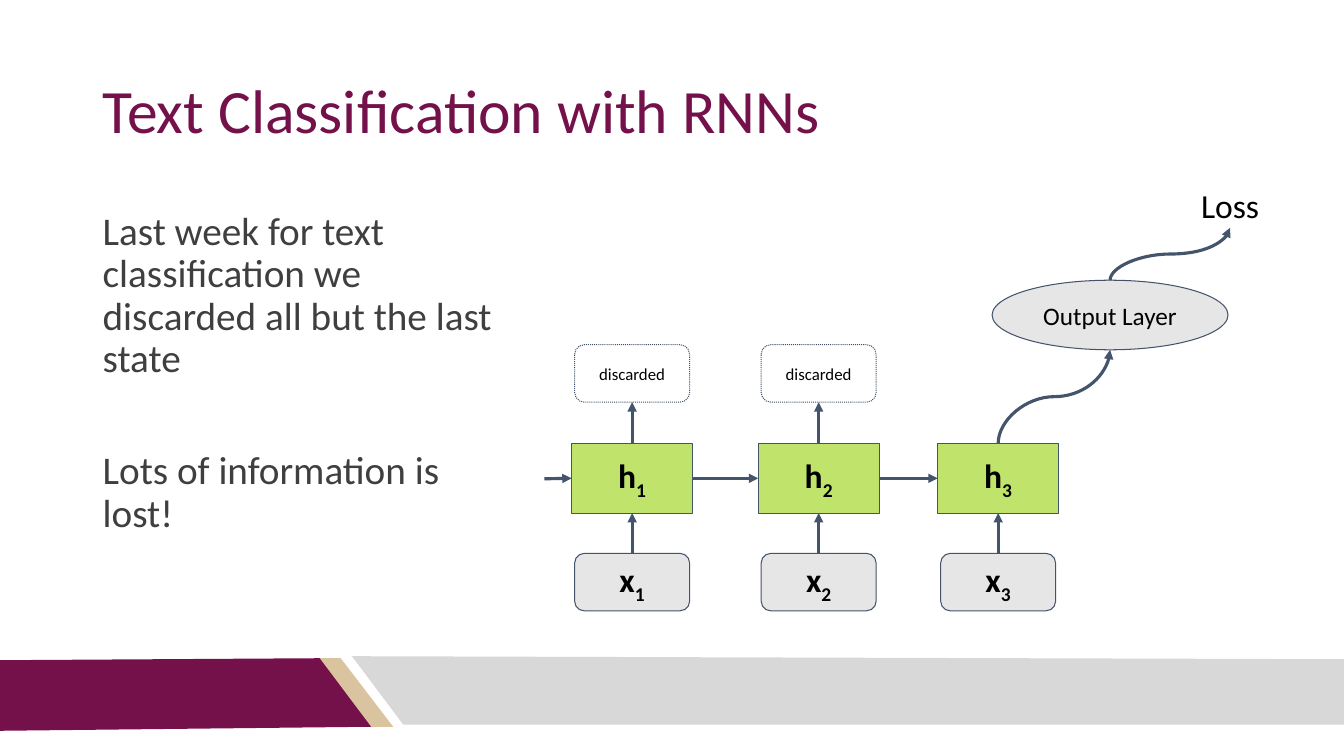
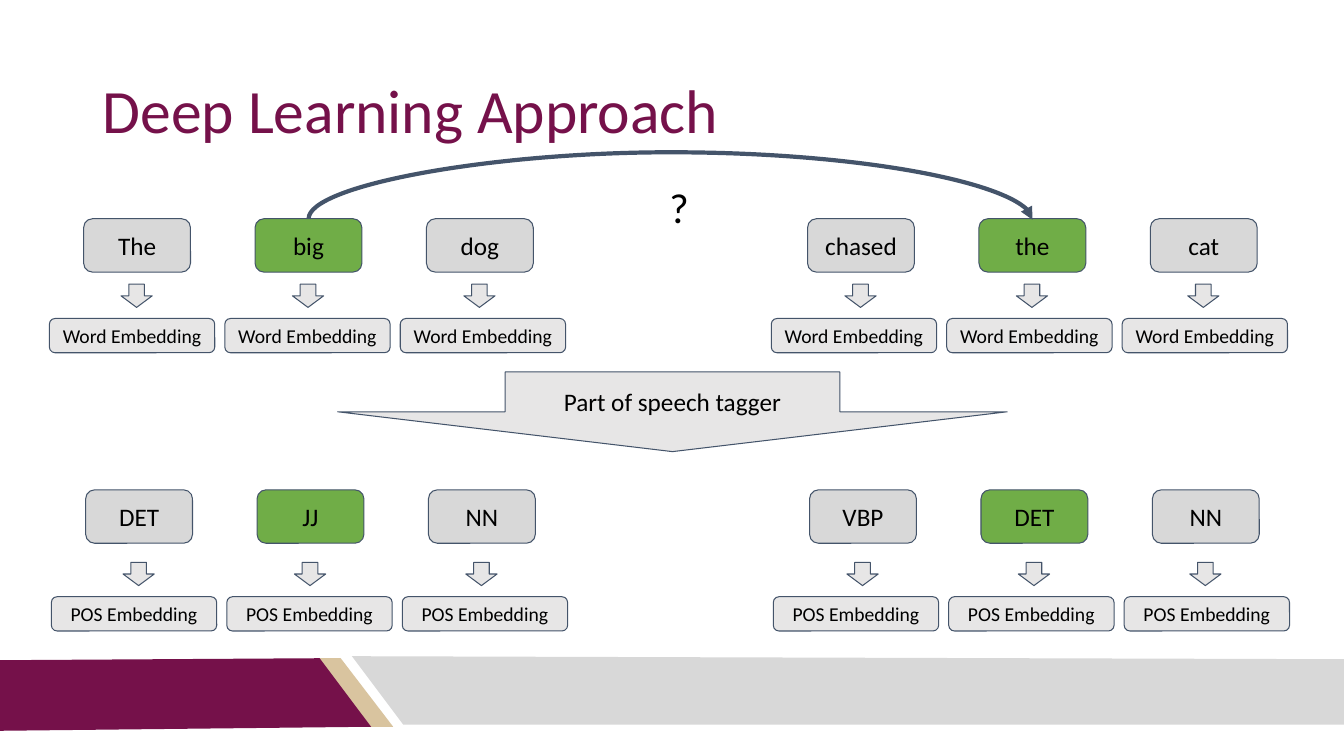
from lxml import etree
from pptx import Presentation
from pptx import util as u
from pptx.dml import color
from pptx.enum import dml, shapes, text
from pptx.oxml import ns

PX = 9144
FONT = "Calibri"
MAROON, TAN, SILVER = "75114A", "D9C49F", "D8D8D8"
BLACK, WHITE, CHARCOAL = "000000", "FFFFFF", "3F3F3F"
SLATE, PALE, LIME, GREEN = "44546A", "E7E6E6", "B0DD46", "70AD47"
KIND = shapes.MSO_SHAPE
TOP, LEFT, BOTTOM, RIGHT = range(4)
rgb = color.RGBColor.from_string


def box(slide, kind, place, lines=(), size=18, fill=None, ink=BLACK, align=text.PP_ALIGN.CENTER):
    place = [value * PX for value in place]
    if kind is None:
        shape = slide.shapes.add_textbox(*place)
    else:
        shape = slide.shapes.add_shape(kind, *place)
        shape.shadow.inherit = False
        shape.fill.solid()
        shape.fill.fore_color.rgb = rgb(fill)
        shape.line.color.rgb = rgb(SLATE)
        shape.line.width = u.Pt(0.75)
    frame = shape.text_frame
    frame.word_wrap = True
    frame.margin_left = frame.margin_right = frame.margin_top = frame.margin_bottom = 10 * PX
    frame.vertical_anchor = text.MSO_ANCHOR.TOP if kind is None else text.MSO_ANCHOR.MIDDLE
    frame.text = "\n".join(lines)
    for paragraph in frame.paragraphs:
        paragraph.alignment = align
        paragraph.font.name = FONT
        for run in paragraph.runs:
            run.font.name = FONT
            run.font.size = u.Pt(size)
            run.font.color.rgb = rgb(ink)
    return shape


def arrow(slide, start, start_site, end, end_site, width=2.25, bend=None):
    kind = shapes.MSO_CONNECTOR.CURVE if bend else shapes.MSO_CONNECTOR.STRAIGHT
    connector = slide.shapes.add_connector(kind, 0, 0, 0, 0)
    if isinstance(start, tuple):
        connector.begin_x, connector.begin_y = (value * PX for value in start)
    else:
        connector.begin_connect(start, start_site)
    connector.end_connect(end, end_site)
    connector.line.color.rgb = rgb(SLATE)
    connector.line.width = u.Pt(width)
    properties = connector.element.spPr
    etree.SubElement(connector.line._get_or_add_ln(), ns.qn("a:tailEnd"), type="triangle")
    etree.SubElement(properties, ns.qn("a:effectLst"))
    if bend:
        left, top = connector.left, connector.top
        across, up = connector.width, max(connector.height, PX)
        connector.left, connector.top = left + (across - up) // 2, top + (up - across) // 2
        connector.width, connector.height = up, across
        properties.xfrm.flipV = False
        properties.xfrm.flipH = bend < 0
        properties.xfrm.set("rot", "16200000")
        guides = properties.find(ns.qn("a:prstGeom")).find(ns.qn("a:avLst"))
        etree.SubElement(guides, ns.qn("a:gd"), name="adj1", fmla=f"val {int(bend * 100000)}")
    return connector


presentation = Presentation()
presentation.slide_width = 1333 * PX
presentation.slide_height = 750 * PX

bands = [
    (TAN, [(316, 653), (338, 653), (390, 721), (367, 721)]),
    (MAROON, [(-1, 655), (317, 653), (368, 721), (-1, 725)]),
    (SILVER, [(1337, 719), (400, 719), (349, 651), (1334, 654)]),
]
slides = []
for title in ["Text Classification with RNNs", "Deep Learning Approach"]:
    slide = presentation.slides.add_slide(presentation.slide_layouts[6])
    for fill, points in bands:
        builder = slide.shapes.build_freeform(*points[0], scale=PX)
        builder.add_line_segments(points[1:], close=True)
        band = builder.convert_to_shape()
        band.shadow.inherit = False
        band.fill.solid()
        band.fill.fore_color.rgb = rgb(fill)
        band.line.fill.background()
    heading = box(slide, None, (92, 40, 1150, 145), [title], 44, ink=MAROON, align=text.PP_ALIGN.LEFT)
    heading.text_frame.vertical_anchor = text.MSO_ANCHOR.MIDDLE
    heading.text_frame.paragraphs[0].line_spacing = 0.9
    slides.append(slide)
network, tagging = slides

body = box(
    network, None, (92, 200, 421, 417),
    ["Last week for text classification we discarded all but the last state",
     "Lots of information is lost!"],
    28, ink=CHARCOAL, align=text.PP_ALIGN.LEFT)
for paragraph in body.text_frame.paragraphs:
    paragraph.line_spacing = 0.9
body.text_frame.paragraphs[1].space_before = u.Pt(50)

previous = (540, 475)
for step, left in enumerate([567, 752, 930], 1):
    hidden = box(network, KIND.RECTANGLE, (left, 440, 120, 69), ["h"], 24, LIME)
    fill_color = hidden.element.spPr.find(ns.qn("a:solidFill")).find(ns.qn("a:srgbClr"))
    etree.SubElement(fill_color, ns.qn("a:alpha"), val="80000")
    word_input = box(network, KIND.ROUNDED_RECTANGLE, (left + 3, 549, 114, 57), ["x"], 24, PALE)
    for shape in (hidden, word_input):
        paragraph = shape.text_frame.paragraphs[0]
        subscript = paragraph.add_run()
        subscript.text = str(step)
        subscript._r.get_or_add_rPr().set("baseline", "-25000")
        for run in paragraph.runs:
            run.font.name = FONT
            run.font.size = u.Pt(24)
            run.font.bold = True
            run.font.color.rgb = rgb(BLACK)
    arrow(network, previous, RIGHT, hidden, LEFT)
    arrow(network, word_input, TOP, hidden, BOTTOM)
    if step < 3:
        discarded = box(network, KIND.ROUNDED_RECTANGLE, (left + 3, 342, 114, 57), ["discarded"], 12, WHITE)
        discarded.line.dash_style = dml.MSO_LINE.ROUND_DOT
        arrow(network, hidden, TOP, discarded, BOTTOM)
    previous = hidden

output_layer = box(network, KIND.OVAL, (984, 278, 234, 69), ["Output Layer"], 18, PALE)
loss = box(network, None, (1164, 173, 112, 53), ["Loss"], 24)
to_output = arrow(network, hidden, TOP, output_layer, BOTTOM, bend=0.5)
to_output.element.nvCxnSpPr.cNvCxnSpPr.endCxn.idx = 4
arrow(network, output_layer, TOP, loss, BOTTOM, bend=0.5)

rows = [
    (0, 217, 282, 316, "Word Embedding", ["The", "big", "dog", "chased", "the", "cat"]),
    (2, 486, 558, 592, "POS Embedding", ["DET", "JJ", "NN", "VBP", "DET", "NN"]),
]
highlighted = []
for shift, token_top, arrow_top, embedding_top, label, tokens in rows:
    for index, token in enumerate(tokens):
        group, column = divmod(index, 3)
        center = 306 + shift + 718 * group + 170 * (column - 1)
        embedding_center = 305 + shift + 716 * group + 174 * (column - 1)
        fill = GREEN if column == 1 else SILVER
        shape = box(tagging, KIND.ROUNDED_RECTANGLE, (center - 53, token_top, 106, 53), [token], 18, fill)
        if column == 1:
            highlighted.append(shape)
        box(tagging, KIND.DOWN_ARROW, (center - 16, arrow_top, 31, 23), fill=PALE)
        box(tagging, KIND.ROUNDED_RECTANGLE, (embedding_center - 82, embedding_top, 164, 34), [label], 14, PALE)

box(tagging, KIND.DOWN_ARROW, (335, 369, 664, 79), ["Part of speech tagger"], 18, PALE)
box(tagging, None, (643, 170, 61, 53), ["?"], 30)
arrow(tagging, highlighted[0], TOP, highlighted[1], TOP, width=3, bend=-67)

presentation.save("out.pptx")
